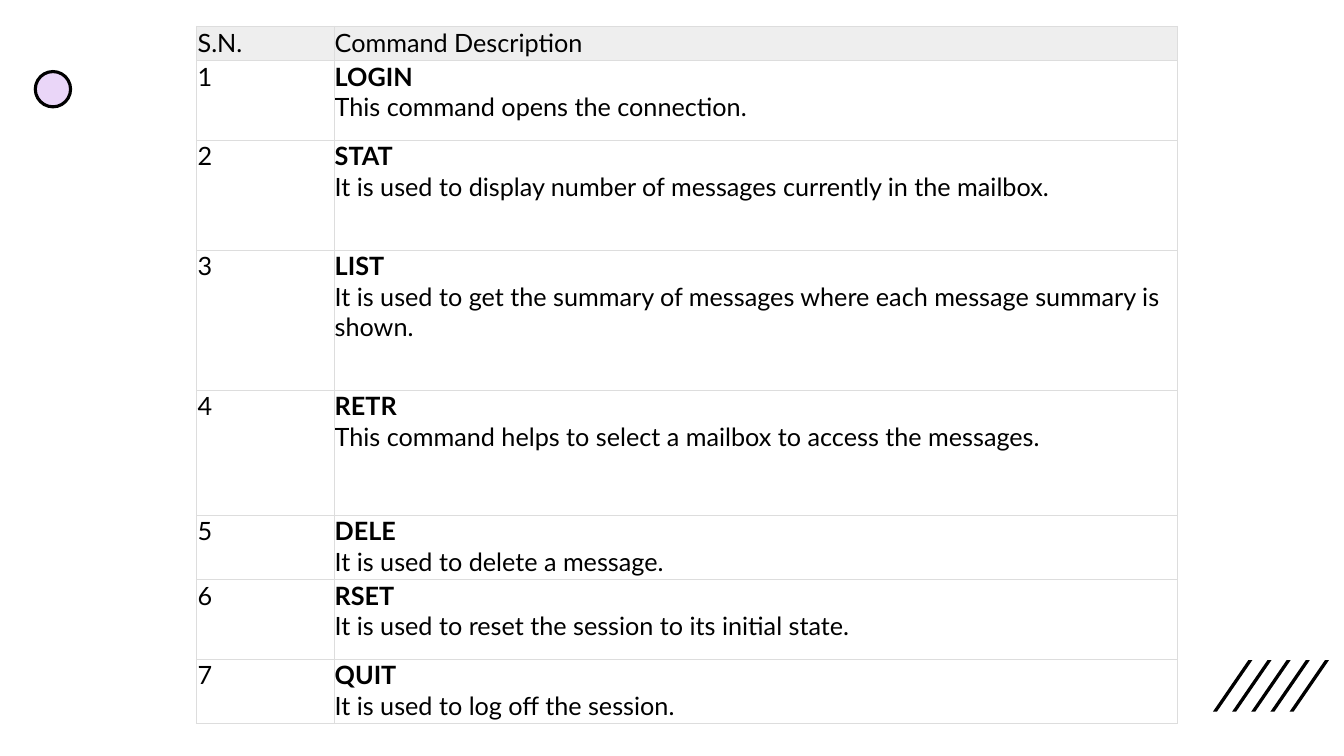
from lxml import etree
from pptx import Presentation
from pptx import util as u
from pptx.dml.color import RGBColor
from pptx.enum import shapes
from pptx.oxml import ns

HEAD = ("S.N.", "Command Description")
COMMANDS = [
    ("LOGIN", "This command opens the connection.", 0.79),
    ("STAT", "It is used to display number of messages currently in the mailbox.", 1.09),
    ("LIST", "It is used to get the summary of messages where each message summary is shown.", 1.39),
    ("RETR", "This command helps to select a mailbox to access the messages.", 1.24),
    ("DELE", "It is used to delete a message.", 0.64),
    ("RSET", "It is used to reset the session to its initial state.", 0.79),
    ("QUIT", "It is used to log off the session.", 0.64),
]
HEAD_HIGH = 0.34
WIDTHS = (1.36, 8.37)
LEFT, TOP = 1.95, 0.26
INSET = 0.01
BLACK, GREY, RULE, LILAC = "000000", "EEEEEE", "DDDDDD", "EAD6F8"
STRIPES, STRIPE_GAP = 5, 0.19


def color(code):
    return RGBColor.from_string(code)


def paint(shape, fill, line=None, width=0):
    shape.shadow.inherit = False
    shape.fill.solid()
    shape.fill.fore_color.rgb = color(fill)
    if line:
        shape.line.color.rgb = color(line)
        shape.line.width = u.Pt(width)
    else:
        shape.line.fill.background()


def write(para, words, size=18, bold=False, font="Lato", ink=BLACK):
    run = para.add_run()
    run.text = words
    run.font.size = u.Pt(size)
    run.font.bold = bold
    run.font.name = font
    run.font.color.rgb = color(ink)


def border(cell, code, width):
    """Draw all four sides of a cell; the lines must precede its fill."""
    props = cell._tc.get_or_add_tcPr()
    for place, side in enumerate(("lnL", "lnR", "lnT", "lnB")):
        line = etree.Element(ns.qn("a:" + side), w=str(u.Pt(width)))
        solid = etree.SubElement(line, ns.qn("a:solidFill"))
        etree.SubElement(solid, ns.qn("a:srgbClr"), val=code)
        props.insert(place, line)


def style(cell, fill=None):
    cell.margin_left = cell.margin_right = u.Inches(INSET)
    cell.margin_top = cell.margin_bottom = u.Inches(INSET)
    if fill:
        cell.fill.solid()
        cell.fill.fore_color.rgb = color(fill)
    else:
        cell.fill.background()
    border(cell, RULE, 0.38)
    return cell.text_frame.paragraphs[0]


def add_stripe(slide, left, top=6.55, wide=0.39, high=0.51, thick=0.04):
    points = [(left + thick, top + high), (left, top + high),
              (left + wide - thick, top), (left + wide, top)]
    first, *rest = [(u.Inches(x), u.Inches(y)) for x, y in points]
    pen = slide.shapes.build_freeform(*first)
    pen.add_line_segments(rest)
    paint(pen.convert_to_shape(), BLACK)


def add_commands(slide):
    highs = [HEAD_HIGH] + [high for _, _, high in COMMANDS]
    box = [u.Inches(n) for n in (LEFT, TOP, sum(WIDTHS), sum(highs))]
    table = slide.shapes.add_table(len(highs), len(WIDTHS), *box).table
    for col, wide in zip(table.columns, WIDTHS):
        col.width = u.Inches(wide)
    for row, high in zip(table.rows, highs):
        row.height = u.Inches(high)
    for col, label in enumerate(HEAD):
        write(style(table.cell(0, col), GREY), label)
    for num, (name, about, _) in enumerate(COMMANDS, 1):
        write(style(table.cell(num, 0)), str(num))
        para = style(table.cell(num, 1))
        write(para, name, bold=True)
        para.add_line_break()
        write(para, about)


def main():
    deck = Presentation()
    deck.slide_width, deck.slide_height = u.Inches(13.33), u.Inches(7.5)
    slide = deck.slides.add_slide(deck.slide_layouts[6])
    for num in range(STRIPES):
        add_stripe(slide, 12.03 + num * STRIPE_GAP)
    dot = slide.shapes.add_shape(
        shapes.MSO_SHAPE.OVAL, *[u.Inches(n) for n in (0.35, 0.71, 0.35, 0.35)])
    paint(dot, LILAC, BLACK, 2.25)
    add_commands(slide)
    deck.save("out.pptx")


if __name__ == "__main__":
    main()
